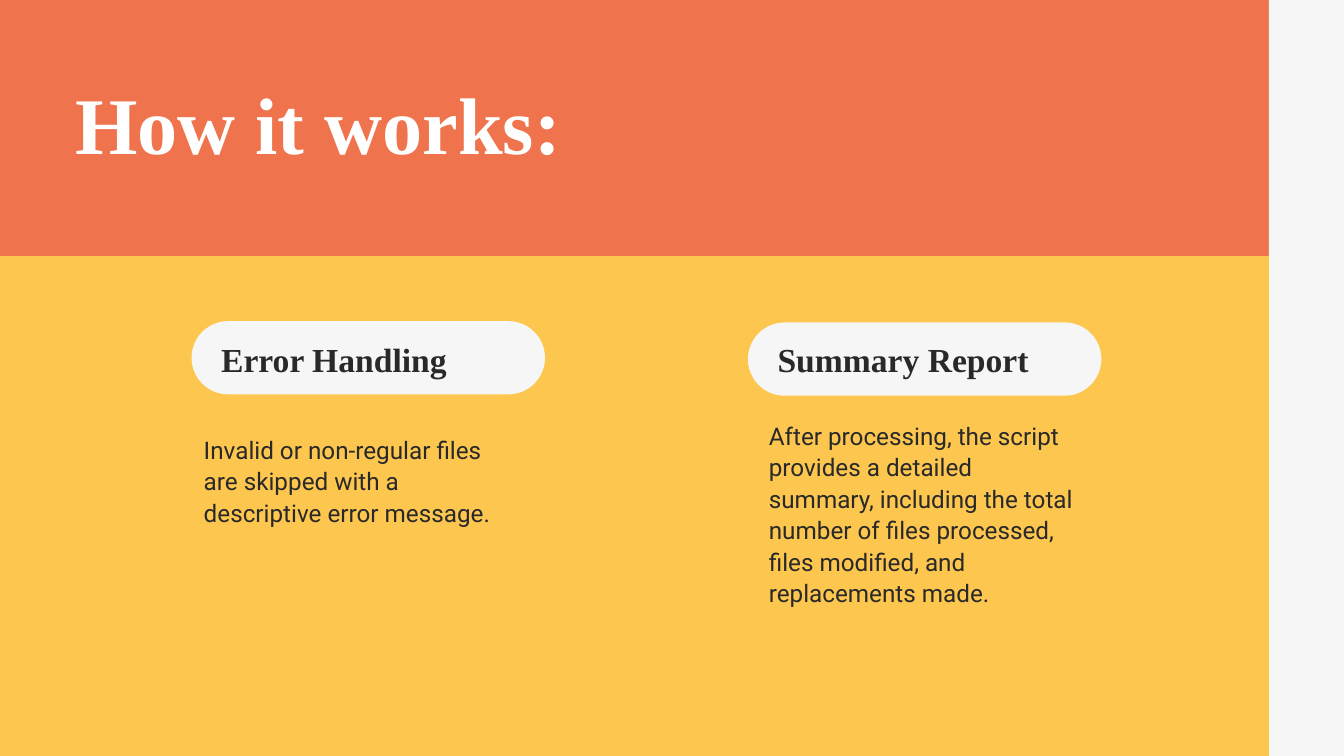
from pptx import Presentation
from pptx.dml.color import RGBColor
from pptx.enum.shapes import MSO_SHAPE
from pptx.enum.text import MSO_ANCHOR, MSO_AUTO_SIZE, PP_ALIGN
from pptx.oxml.ns import qn
from pptx.util import Cm, Pt
from lxml.etree import SubElement

ORANGE, YELLOW, PALE, INK, WHITE = "EF734C", "FDC74F", "F6F6F6", "292929", "FFFFFF"
SERIF, SANS = "Times New Roman", "Roboto"
TITLE = dict(size=86, leading=103.2, name=SERIF, bold=True, color=WHITE)
HEADING = dict(size=36, leading=46.8, name=SERIF, bold=True, color=INK)
BODY = dict(size=26, leading=33.8, name=SANS, bold=False, color=INK)
FRAME = dict(word_wrap=True, auto_size=MSO_AUTO_SIZE.NONE,
             vertical_anchor=MSO_ANCHOR.TOP, margin_left=0, margin_top=0,
             margin_right=0, margin_bottom=0)


def rgb(value):
    return RGBColor.from_string(value)


def set_all(target, values):
    for key, value in values.items():
        setattr(target, key, value)


class Deck:
    def __init__(self, width, height):
        self.prs = Presentation()
        self.prs.slide_width, self.prs.slide_height = Cm(width), Cm(height)

    def add_slide(self, layout, background):
        self.slide = self.prs.slides.add_slide(self.prs.slide_layouts[layout])
        fill = self.slide.background.fill
        fill.solid()
        fill.fore_color.rgb = rgb(background)

    def block(self, kind, box, color):
        shape = self.slide.shapes.add_shape(kind, *map(Cm, box))
        shape.shadow.inherit = False
        shape.fill.solid()
        shape.fill.fore_color.rgb = rgb(color)
        shape.line.fill.background()
        return shape

    def pill(self, box, color):
        self.block(MSO_SHAPE.ROUNDED_RECTANGLE, box, color).adjustments[0] = 0.5

    def placeholder(self, index, text, box, style):
        holder = self.slide.placeholders[index]
        set_all(holder, dict(zip(("left", "top", "width", "height"), map(Cm, box))))
        # Placeholders come first in the tree: bring them above the bands
        self.slide.shapes._spTree.append(holder._element)
        self.fill_text(holder, text, style)

    def textbox(self, text, box, style):
        self.fill_text(self.slide.shapes.add_textbox(*map(Cm, box)), text, style)

    def fill_text(self, shape, text, style):
        frame = shape.text_frame
        set_all(frame, FRAME)
        paragraph = frame.paragraphs[0]
        set_all(paragraph, dict(alignment=PP_ALIGN.LEFT, space_before=Pt(0),
                                line_spacing=Pt(style["leading"])))
        # No bullet and no hanging indent
        props = paragraph._p.get_or_add_pPr()
        props.set("marL", "0")
        props.set("indent", "0")
        SubElement(props, qn("a:buNone"))
        run = paragraph.add_run()
        run.text = text
        set_all(run.font, dict(size=Pt(style["size"]), name=style["name"],
                               bold=style["bold"]))
        run.font.color.rgb = rgb(style["color"])


def main():
    width, height = 50.8, 28.58
    main_width, header_height = 47.96, 9.68
    deck = Deck(width, height)
    deck.add_slide(3, ORANGE)

    # Side strip and lower band
    deck.block(MSO_SHAPE.RECTANGLE,
               (main_width, 0, width - main_width, height), PALE)
    deck.block(MSO_SHAPE.RECTANGLE,
               (0, header_height, main_width, height - header_height), YELLOW)

    # Title
    deck.placeholder(0, "How it works:", (2.84, 2.82, 35.43, 3.66), TITLE)

    # Columns: heading on a pill, explanation below
    columns = [
        ("Error Handling", 7.24, 12.14, (7.7, 16.36, 11.68, 3.58),
         "Invalid or non-regular files are skipped with a descriptive "
         "error message."),
        ("Summary Report", 28.27, 12.19, (29.06, 15.82, 11.66, 9.55),
         "After processing, the script provides a detailed summary, including "
         "the total number of files processed, files modified, and "
         "replacements made."),
    ]
    for index, (heading, left, top, body_box, body) in enumerate(columns, 1):
        deck.pill((left, top, 13.36, 2.77), PALE)
        deck.textbox(heading, (left + 1.12, 12.67, 11.02, 1.63), HEADING)
        deck.placeholder(index, body, body_box, BODY)

    deck.prs.save("out.pptx")


if __name__ == "__main__":
    main()
